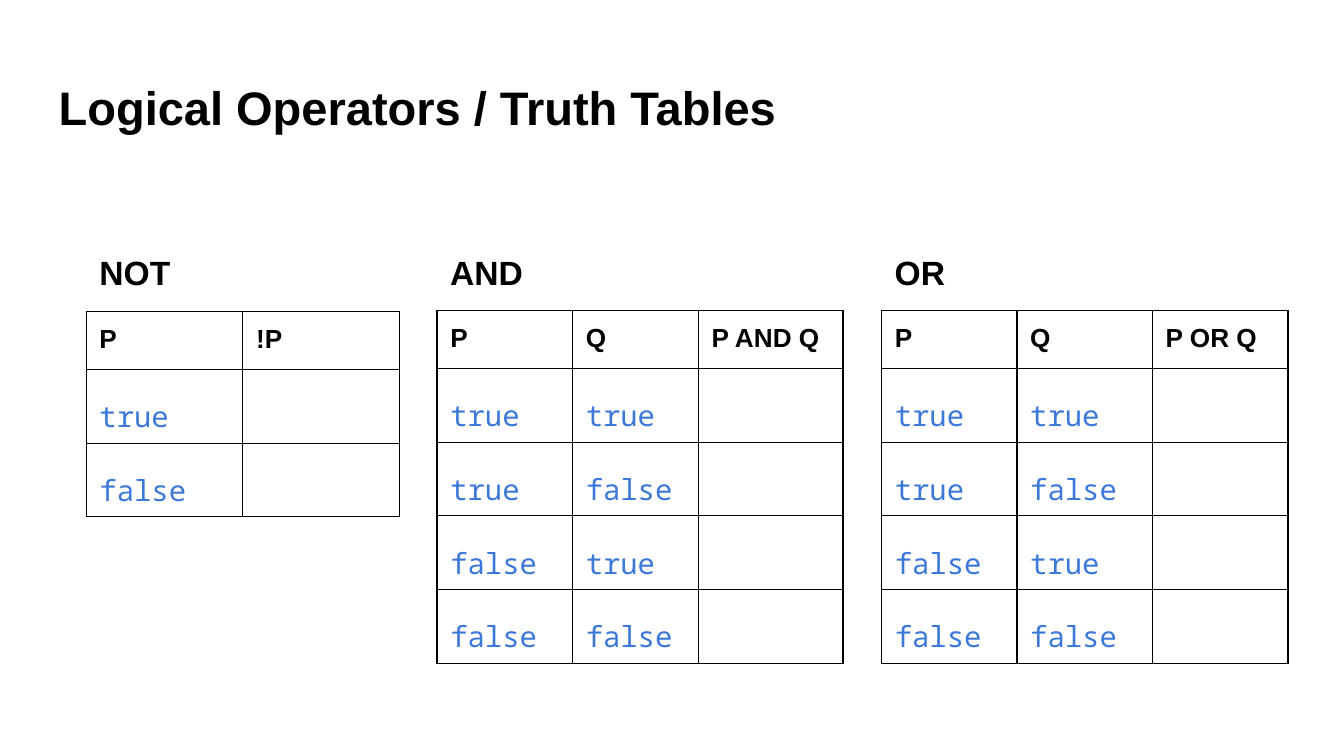
from itertools import product

from lxml import etree
from pptx import Presentation
from pptx.dml.color import RGBColor
from pptx.enum.text import MSO_ANCHOR
from pptx.oxml.ns import qn
from pptx.util import Cm, Pt

TOP = MSO_ANCHOR.TOP
COLORS = {"text": "000000", "value": "3C78D8", "border": "000000"}
INSET = Cm(0.25)
ROW_HEIGHT = Cm(1.07)
BORDER_WIDTH = Pt(0.75)


def style_paragraph(paragraph, text, size, color="text", name="Arial", bold=True):
    paragraph.text = text
    paragraph.font.size = Pt(size)
    paragraph.font.name = name
    paragraph.font.bold = bold
    paragraph.font.color.rgb = RGBColor.from_string(COLORS[color])


def add_heading(slide, text, left, top, width, height, size):
    shape = slide.shapes.add_textbox(Cm(left), Cm(top), Cm(width), Cm(height))
    frame = shape.text_frame
    frame.word_wrap = True
    frame.vertical_anchor = TOP
    frame.margin_left = frame.margin_right = INSET
    frame.margin_top = frame.margin_bottom = INSET
    style_paragraph(frame.paragraphs[0], text, size)


presentation = Presentation()
presentation.slide_width = Cm(25.4)
presentation.slide_height = Cm(14.29)
slide = presentation.slides.add_slide(presentation.slide_layouts[6])

add_heading(slide, "Logical Operators / Truth Tables", 0.86, 1.24, 23.67, 1.6, 25.2)

truth_tables = [
    ("NOT", 1.63, 5.89, ["P", "!P"], [2.96, 2.96]),
    ("AND", 8.26, 5.87, ["P", "Q", "P AND Q"], [2.56, 2.38, 2.73]),
    ("OR", 16.66, 5.87, ["P", "Q", "P OR Q"], [2.56, 2.56, 2.56]),
]

for operator, left, top, headers, widths in truth_tables:
    add_heading(slide, operator, left, 4.52, 4.39, 0.91, 18)

    inputs = product(["true", "false"], repeat=len(headers) - 1)
    rows = [headers] + [[*values, ""] for values in inputs]
    table = slide.shapes.add_table(
        len(rows), len(headers), Cm(left), Cm(top),
        Cm(sum(widths)), ROW_HEIGHT * len(rows),
    ).table
    table.first_row = False
    table.horz_banding = False

    for column, width in zip(table.columns, widths):
        column.width = Cm(width)

    for row_index, values in enumerate(rows):
        table.rows[row_index].height = ROW_HEIGHT
        for column_index, value in enumerate(values):
            cell = table.cell(row_index, column_index)
            cell.vertical_anchor = TOP
            cell.margin_left = cell.margin_right = INSET
            cell.margin_top = cell.margin_bottom = INSET

            properties = cell._tc.get_or_add_tcPr()
            for side in ("a:lnL", "a:lnR", "a:lnT", "a:lnB"):
                line = etree.SubElement(properties, qn(side), w=str(BORDER_WIDTH))
                fill = etree.SubElement(line, qn("a:solidFill"))
                etree.SubElement(fill, qn("a:srgbClr"), val=COLORS["border"])
            cell.fill.background()

            paragraph = cell.text_frame.paragraphs[0]
            if row_index == 0:
                style_paragraph(paragraph, value, 14)
            elif value:
                style_paragraph(paragraph, value, 15.5, "value", "Noto Sans Mono", False)
                paragraph.line_spacing = 1.36

presentation.save("out.pptx")
